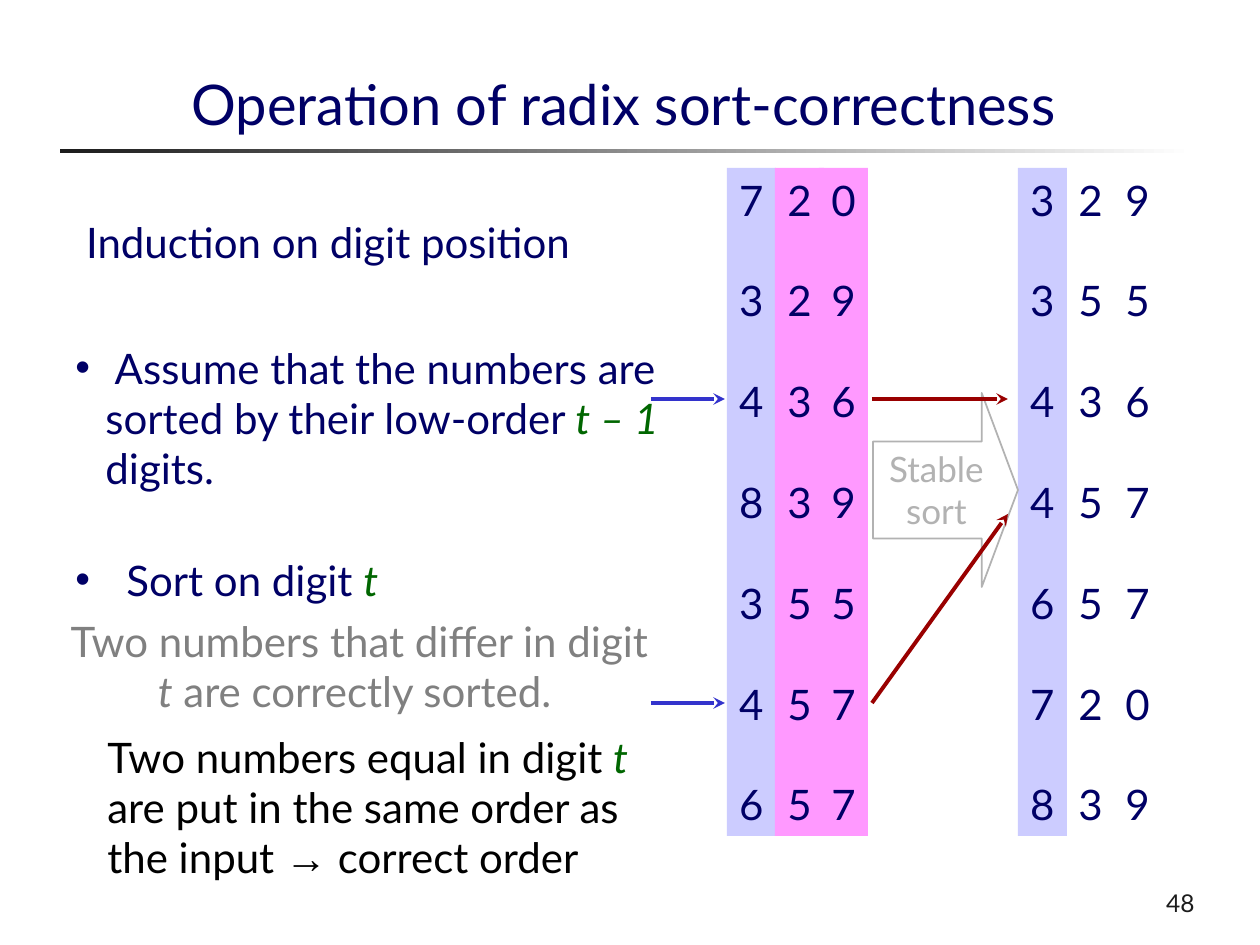
import pptx
import pptx.util
import pptx.dml.color
import pptx.enum.shapes
import pptx.enum.text
import pptx.oxml
import pptx.oxml.ns

SCALE = 914400 // 126
COLORS = {
    "navy": "000066", "green": "006600", "black": "000000", "gray": "808080",
    "silver": "B2B2B2", "ink": "1C1C1C", "white": "FFFFFF", "blue": "3333CC",
    "red": "990000", "lilac": "CCCCFF", "pink": "FF99FF",
}
ALIGN = pptx.enum.text.PP_ALIGN
ANCHOR = pptx.enum.text.MSO_ANCHOR
SHAPE = pptx.enum.shapes.MSO_SHAPE
BEFORE = ["720", "329", "436", "839", "355", "457", "657"]
AFTER = ["329", "355", "436", "457", "657", "720", "839"]


def px(n):
    return pptx.util.Emu(round(n * SCALE))


def rgb(name):
    return pptx.dml.color.RGBColor.from_string(COLORS[name])


def set_attrs(obj, values):
    for name, value in values.items():
        setattr(obj, name, value)


def sub(parent, tag, **attrs):
    el = pptx.oxml.ns.qn(tag)
    child = parent.makeelement(el, attrs)
    parent.append(child)
    return child


def add_run(p, text, color, size=24, italic=False, font="Lato"):
    r = p.add_run()
    r.text = text
    set_attrs(r.font, {"size": pptx.util.Pt(size), "name": font, "italic": italic})
    r.font.color.rgb = rgb(color)


def write(sp, paragraphs, align=ALIGN.LEFT, anchor=ANCHOR.TOP, wrap=True, gap=0):
    tf = sp.text_frame
    set_attrs(tf, {"word_wrap": wrap, "vertical_anchor": anchor})
    for i, runs in enumerate(paragraphs):
        p = tf.add_paragraph() if i else tf.paragraphs[0]
        set_attrs(p, {"alignment": align, "space_before": pptx.util.Pt(gap if i else 0)})
        for run in runs:
            add_run(p, *run)


def add_text(slide, box, runs, **format_values):
    sp = slide.shapes.add_textbox(*map(px, box))
    write(sp, [runs], **format_values)
    return sp


def add_bullet(slide, box, runs, indent):
    sp = add_text(slide, box, runs)
    pPr = sp.text_frame.paragraphs[0]._p.get_or_add_pPr()
    pPr.set("marL", str(px(indent)))
    pPr.set("indent", str(-px(indent)))
    sub(sub(pPr, "a:buClr"), "a:srgbClr", val=COLORS["navy"])
    sub(pPr, "a:buFont", typeface="Arial")
    sub(pPr, "a:buChar", char="•")


def add_block(slide, kind, box, fill=None, line=None):
    sp = slide.shapes.add_shape(kind, *map(px, box))
    sp.shadow.inherit = False
    if fill:
        sp.fill.solid()
        sp.fill.fore_color.rgb = rgb(fill)
    else:
        sp.fill.background()
    if line:
        sp.line.color.rgb = rgb(line)
        sp.line.width = pptx.util.Pt(1)
    else:
        sp.line.fill.background()
    return sp


def add_rule(slide):
    sp = add_block(slide, SHAPE.RECTANGLE, (60, 149, 1134, 4), "ink")
    sp.fill.gradient()
    sp.fill.gradient_angle = 0
    for stop, color, position in zip(sp.fill.gradient_stops, ("ink", "white"), (0, 1)):
        stop.color.rgb = rgb(color)
        stop.position = position


def add_digits(slide, left, fill, digits):
    box = (left, 168, 49, 668)
    if fill:
        sp = add_block(slide, SHAPE.RECTANGLE, box, fill)
    else:
        sp = slide.shapes.add_textbox(*map(px, box))
    write(sp, [[(d, "navy")] for d in digits], align=ALIGN.CENTER, wrap=False, gap=28.8)


def add_numbers(slide, numbers, lefts, fills):
    for left, fill, digits in zip(lefts, fills, zip(*numbers)):
        add_digits(slide, left, fill, digits)


def add_arrow(slide, x1, y1, x2, y2, color):
    cx = slide.shapes.add_connector(
        pptx.enum.shapes.MSO_CONNECTOR.STRAIGHT, *map(px, (x1, y1, x2, y2)))
    cx.line.color.rgb = rgb(color)
    cx.line.width = pptx.util.Pt(2.25)
    sub(cx.line._get_or_add_ln(), "a:tailEnd", type="stealth", w="med", len="med")
    sub(cx._element.spPr, "a:effectLst")


def add_stable_sort(slide):
    sp = add_block(slide, SHAPE.RIGHT_ARROW, (873, 393, 145, 194), line="silver")
    sp.adjustments[0] = 0.5
    sp.adjustments[1] = 0.25
    write(sp, [[("Stable", "silver", 20)], [("sort", "silver", 20)]],
          align=ALIGN.CENTER, anchor=ANCHOR.MIDDLE, wrap=False)


def main():
    prs = pptx.Presentation()
    set_attrs(prs, {"slide_width": px(1260), "slide_height": px(945)})
    slide = prs.slides.add_slide(prs.slide_layouts[6])

    add_rule(slide)
    add_numbers(slide, BEFORE, (727, 775, 819), ("lilac", "pink", "pink"))
    add_numbers(slide, AFTER, (1018, 1066, 1113), ("lilac", None, None))

    add_text(slide, (179, 63, 998, 81),
             [("Operation of radix sort-correctness", "navy", 32)])
    add_text(slide, (63, 210, 1197, 63), [(" Induction on digit position", "navy")])
    add_bullet(slide, (63, 336, 651, 164), [
        (" Assume that the numbers are sorted by their low-order ", "navy"),
        ("t – 1", "green", 24, True), (" digits.", "navy")], 30)
    add_bullet(slide, (63, 548, 1144, 63),
               [("Sort on digit ", "navy"), ("t", "green", 24, True)], 51)
    add_stable_sort(slide)
    add_text(slide, (42, 609, 625, 113), [
        (" Two numbers that differ in digit ", "gray"),
        ("t", "gray", 24, True), (" are correctly sorted.", "gray")],
        align=ALIGN.CENTER)

    for y in (399, 703):
        add_arrow(slide, 651, y, 725, y, "blue")
    for y1, y2 in ((703, 514), (399, 399)):
        add_arrow(slide, 872, y1, 1008, y2, "red")

    add_text(slide, (95, 725, 598, 164), [
        ("Two numbers equal in digit ", "black"), ("t ", "green", 24, True),
        ("are put in the same order as the input ", "black"),
        ("→", "black", 24, False, "Arial"), (" correct order", "black")])
    add_text(slide, (945, 861, 262, 63), [("48", "ink", 14)],
             align=ALIGN.RIGHT, anchor=ANCHOR.BOTTOM)
    prs.save("out.pptx")


main()
